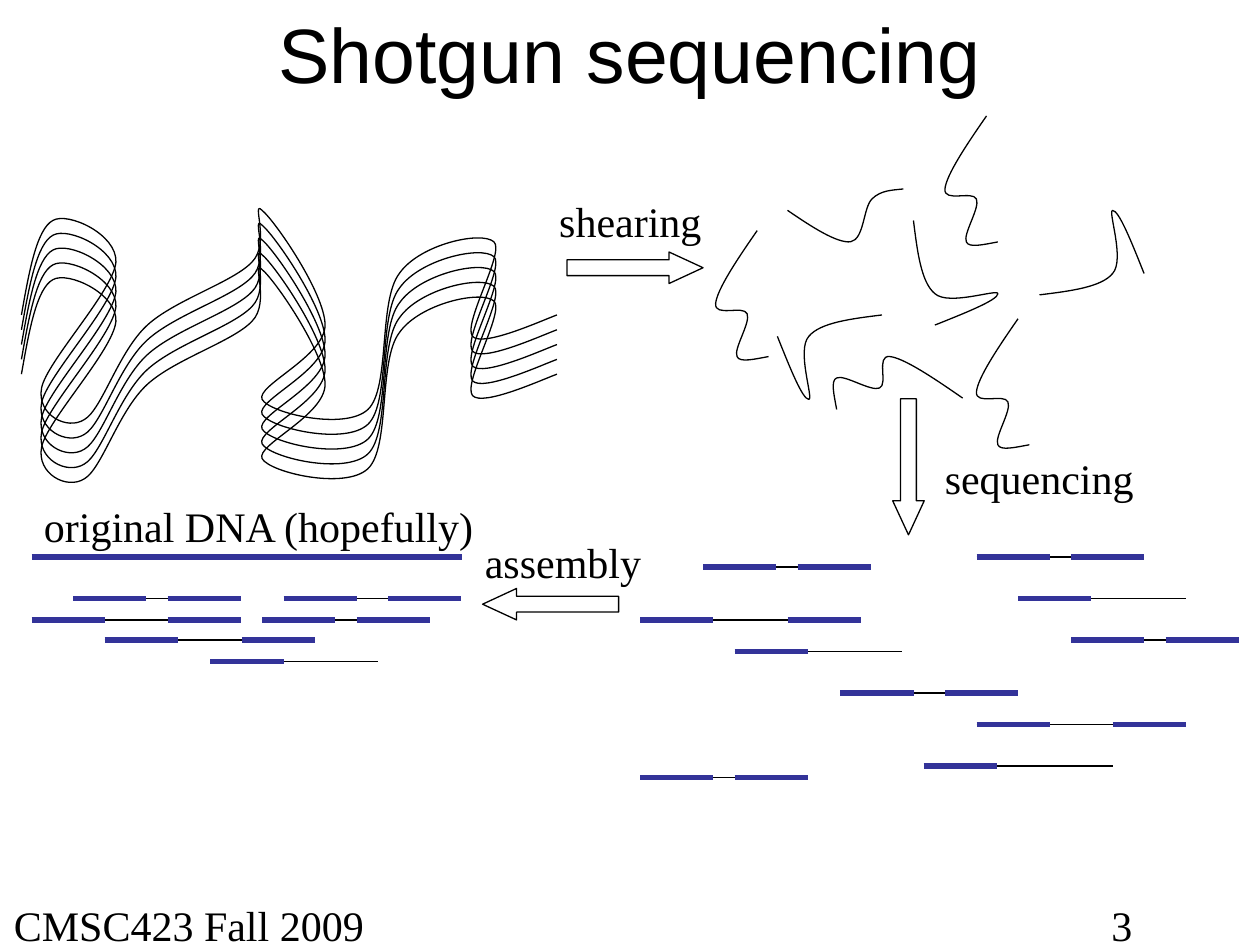
from lxml import etree
from pptx import Presentation
from pptx.dml.color import RGBColor
from pptx.enum.shapes import MSO_CONNECTOR, MSO_SHAPE
from pptx.enum.text import MSO_ANCHOR, MSO_AUTO_SIZE, PP_ALIGN
from pptx.oxml.ns import qn
from pptx.util import Inches, Pt

STRAIGHT = MSO_CONNECTOR.STRAIGHT
RIGHT_ARROW = MSO_SHAPE.RIGHT_ARROW
MIDDLE = MSO_ANCHOR.MIDDLE
GROW = MSO_AUTO_SIZE.SHAPE_TO_FIT_TEXT
CENTER = PP_ALIGN.CENTER

BLACK = RGBColor(0x00, 0x00, 0x00)
BLUE = RGBColor(0x33, 0x33, 0x99)
SERIF = "Times New Roman"
THIN, THICK = 0.75, 3
INSERT_LENGTH, READ_LENGTH = 1.33, 0.58

# Curves: a start point, then three Bezier points per segment
GENOME = [
    (0.17, 2.5), (0.23, 2.16), (0.29, 1.82), (0.42, 1.75),
    (0.54, 1.68), (0.93, 1.86), (0.92, 2.08),
    (0.9, 2.31), (0.37, 2.87), (0.33, 3.08),
    (0.29, 3.29), (0.53, 3.42), (0.67, 3.33),
    (0.81, 3.25), (0.94, 2.79), (1.17, 2.58),
    (1.39, 2.38), (1.85, 2.24), (2, 2.08),
    (2.15, 1.93), (1.99, 1.58), (2.08, 1.67),
    (2.18, 1.75), (2.58, 2.33), (2.58, 2.58),
    (2.58, 2.83), (2.03, 3.06), (2.08, 3.17),
    (2.14, 3.28), (2.74, 3.42), (2.92, 3.25),
    (3.1, 3.08), (3, 2.39), (3.17, 2.17),
    (3.33, 1.94), (3.82, 1.83), (3.92, 1.92),
    (4.01, 2), (3.67, 2.57), (3.75, 2.67),
    (3.83, 2.76), (4.31, 2.54), (4.42, 2.5),
]
WAVE = [
    (0, 0.17), (0.19, 0.3), (0.39, 0.43), (0.5, 0.42),
    (0.61, 0.4), (0.6, 0.15), (0.67, 0.08),
    (0.74, 0.01), (0.83, 0.01), (0.92, 0),
]
HOOK = [
    (0, 0.17), (0.1, 0.42), (0.2, 0.67), (0.25, 0.67),
    (0.29, 0.67), (0.15, 0.28), (0.25, 0.17),
    (0.34, 0.06), (0.59, 0.03), (0.83, 0),
]
SQUIGGLE = [
    (0.34, 0), (0.18, 0.23), (0.02, 0.47), (0.01, 0.58),
    (0, 0.69), (0.23, 0.59), (0.26, 0.66),
    (0.29, 0.73), (0.15, 0.94), (0.18, 1), (0.2, 1.05), (0.32, 1.02), (0.43, 1),
]

# Sheared pieces: curve, left, top, rotation
PIECES = [
    (WAVE, 6.25, 1.5, 0),
    (HOOK, 8.25, 1.67, 180),
    (SQUIGGLE, 6.9, 2.51, 90),
    (HOOK, 6.17, 2.5, 0),
    (HOOK, 7.17, 1.83, 270),
    (SQUIGGLE, 7.49, 0.92, 0),
    (SQUIGGLE, 7.74, 2.53, 0),
    (SQUIGGLE, 5.67, 1.83, 0),
]

# Inserts: left, height on the page, left ends of the reads
SEQUENCED = [
    (5.58, 4.5, [5.58, 6.33]),
    (5.83, 5.17, [5.83]),
    (7.75, 4.42, [7.75, 8.5]),
    (8.08, 4.75, [8.08]),
    (6.75, 5.5, [6.67, 7.5]),
    (5.33, 4.92, [5.08, 6.25]),
    (7.75, 5.75, [7.75, 8.83]),
    (8.5, 5.08, [8.5, 9.25]),
    (7.5, 6.08, [7.33]),
    (5.08, 6.17, [5.08, 5.83]),
]
ASSEMBLED = [
    (0.58, 4.75, [0.58, 1.33]),
    (1.67, 5.25, [1.67]),
    (2.08, 4.92, [2.08, 2.83]),
    (2.33, 4.75, [2.25, 3.08]),
    (0.42, 4.92, [0.25, 1.33]),
    (0.83, 5.08, [0.83, 1.92]),
]


def add_text(shapes, text, left, top, width, height, size=24, font=SERIF, inset=True):
    box = shapes.add_textbox(Inches(left), Inches(top), Inches(width), Inches(height))
    frame = box.text_frame
    frame.text = text
    if not inset:
        frame.margin_left = frame.margin_right = 0
        frame.margin_top = frame.margin_bottom = 0
    span = frame.paragraphs[0].runs[0]
    span.font.size = Pt(size)
    span.font.name = font
    span.font.color.rgb = BLACK
    return frame


def add_label(shapes, text, left, top, width):
    frame = add_text(shapes, text, left, top, width, 0.5)
    frame.word_wrap = False
    frame.auto_size = GROW


def outline(shape):
    shape.shadow.inherit = False
    shape.fill.background()
    shape.line.color.rgb = BLACK
    shape.line.width = Pt(THIN)


def add_curve(shapes, points, left=0, top=0, rotation=0):
    start, *others = [(Inches(left + x), Inches(top + y)) for x, y in points]
    builder = shapes.build_freeform(*start)
    builder.add_line_segments(others, close=False)
    curve = builder.convert_to_shape()
    curve.rotation = rotation
    outline(curve)
    # Join each three straight steps into one Bezier segment
    steps = list(curve._element.iter(qn("a:lnTo")))
    outline_path = steps[0].getparent()
    for first in range(0, len(steps), 3):
        bezier = etree.SubElement(outline_path, qn("a:cubicBezTo"))
        for step in steps[first:first + 3]:
            bezier.append(step[0])
            outline_path.remove(step)


def add_block_arrow(shapes, left, top, rotation=0):
    arrow = shapes.add_shape(
        RIGHT_ARROW, Inches(left), Inches(top), Inches(1.08), Inches(0.25))
    arrow.adjustments[0] = 0.5
    arrow.adjustments[1] = 1.08
    arrow.rotation = rotation
    outline(arrow)


def add_strand(shapes, left, y, length, color, weight):
    strand = shapes.add_connector(
        STRAIGHT, Inches(left), Inches(y), Inches(left + length), Inches(y))
    strand.line.color.rgb = color
    strand.line.width = Pt(weight)
    etree.SubElement(strand._element.spPr, qn("a:effectLst"))


def add_inserts(shapes, inserts):
    for left, y, reads in inserts:
        add_strand(shapes, left, y, INSERT_LENGTH, BLACK, THIN)
        for read in reads:
            add_strand(shapes, read, y, READ_LENGTH, BLUE, THICK)


def main():
    deck = Presentation()
    deck.slide_width, deck.slide_height = Inches(10), Inches(7.5)
    page = deck.slides.add_slide(deck.slide_layouts[6])
    shapes = page.shapes

    # Title
    title = add_text(shapes, "Shotgun sequencing", 0, 0.02, 10, 0.79, 44, "Arial")
    title.word_wrap = True
    title.vertical_anchor = MIDDLE
    title.paragraphs[0].alignment = CENTER

    # Genome copies and sheared pieces
    for number in range(5):
        add_curve(shapes, GENOME, top=0.47 * number / 4)
    for points, left, top, rotation in PIECES:
        add_curve(shapes, points, left, top, rotation)
    add_block_arrow(shapes, 4.5, 2)
    add_label(shapes, "shearing", 4.34, 1.5, 1.33)

    # Sequencing
    sequencing = shapes.add_group_shape().shapes
    add_inserts(sequencing, SEQUENCED)
    add_block_arrow(sequencing, 6.67, 3.58, 90)
    add_label(sequencing, "sequencing", 7.4, 3.54, 1.7)

    # Assembly
    assembly = shapes.add_group_shape().shapes
    add_inserts(assembly, ASSEMBLED)
    add_block_arrow(assembly, 3.83, 4.67, 180)
    add_label(assembly, "assembly", 3.75, 4.21, 1.44)
    add_strand(assembly, 0.25, 4.42, 3.42, BLUE, THICK)
    add_label(assembly, "original DNA (hopefully)", 0.25, 3.92, 3.62)

    # Footer
    add_text(shapes, "CMSC423 Fall 2009", 0.11, 7.14, 8.71, 0.36, inset=False)
    add_text(shapes, "3", 8.82, 7.14, 1.08, 0.36, inset=False).word_wrap = True

    deck.save("out.pptx")


if __name__ == "__main__":
    main()
